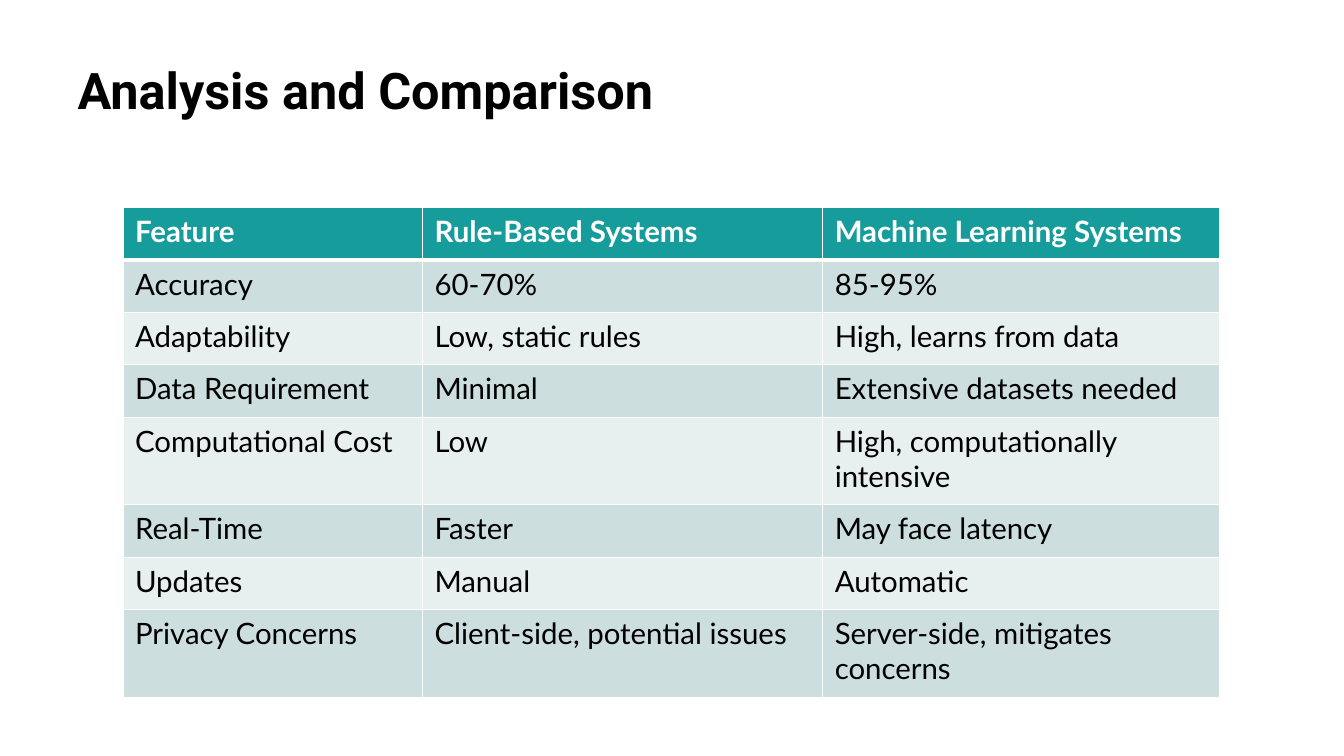
from dataclasses import dataclass
from typing import NamedTuple

from lxml import etree
from pptx import Presentation
from pptx.dml.color import RGBColor
from pptx.enum import text
from pptx.oxml.ns import qn
from pptx.util import Inches, Pt


@dataclass(frozen=True)
class Theme:
    title_font: str = "Roboto"
    body_font: str = "Lato"
    title_size: float = 36
    body_size: float = 21
    ink: str = "000000"
    white: str = "FFFFFF"
    header: str = "169C9A"
    bands: tuple[str, str] = ("CCDEDE", "E8EFEF")
    rule: float = 1
    header_rule: float = 3


class Feature(NamedTuple):
    name: str
    rule_based: str
    machine_learning: str


THEME = Theme()
HEADER = Feature("Feature", "Rule-Based Systems", "Machine Learning Systems")
FEATURES = [
    Feature("Accuracy", "60-70%", "85-95%"),
    Feature("Adaptability", "Low, static rules", "High, learns from data"),
    Feature("Data Requirement", "Minimal", "Extensive datasets needed"),
    Feature("Computational Cost", "Low", "High, computationally intensive"),
    Feature("Real-Time", "Faster", "May face latency"),
    Feature("Updates", "Manual", "Automatic"),
    Feature("Privacy Concerns", "Client-side, potential issues",
            "Server-side, mitigates concerns"),
]
COLUMN_WIDTHS = (2.97, 3.97, 3.94)
ROW_HEIGHT, TALL_ROW_HEIGHT = 0.52, 0.87
TWO_LINE_ROWS = {"Computational Cost", "Privacy Concerns"}
CELL_MARGINS = {"margin_left": 0.12, "margin_right": 0.12,
                "margin_top": 0.06, "margin_bottom": 0.06}


def set_font(p, name: str, size: float, color: str, bold: bool) -> None:
    for key, value in {"name": name, "size": Pt(size), "bold": bold}.items():
        setattr(p.font, key, value)
    p.font.color.rgb = RGBColor.from_string(color)


def add_border(cell, side: str, width: float) -> None:
    """Draw one white edge; side is L, R, T or B."""
    tc_pr = cell._tc.get_or_add_tcPr()
    line = etree.SubElement(tc_pr, qn(f"a:ln{side}"), w=str(Pt(width)))
    fill = etree.SubElement(line, qn("a:solidFill"))
    etree.SubElement(fill, qn("a:srgbClr"), val=THEME.white)


def format_cell(cell, value: str, row: int) -> None:
    is_header = row == 0
    top = THEME.header_rule if row == 1 else THEME.rule
    bottom = THEME.header_rule if is_header else THEME.rule
    for side, width in zip("LRTB", (THEME.rule, THEME.rule, top, bottom)):
        add_border(cell, side, width)
    cell.fill.solid()
    fill = THEME.header if is_header else THEME.bands[(row - 1) % 2]
    cell.fill.fore_color.rgb = RGBColor.from_string(fill)
    for key, value_in in CELL_MARGINS.items():
        setattr(cell, key, Inches(value_in))
    cell.text = value
    color = THEME.white if is_header else THEME.ink
    set_font(cell.text_frame.paragraphs[0], THEME.body_font, THEME.body_size,
             color, is_header)


def add_title(slide, title: str) -> None:
    sp = slide.shapes.title
    place = {"left": 0.67, "top": 0.6, "width": 11.97, "height": 1.24}
    for key, value in place.items():
        setattr(sp, key, Inches(value))
    tf = sp.text_frame
    tf.text = title
    tf.vertical_anchor = text.MSO_ANCHOR.TOP
    tf.auto_size = text.MSO_AUTO_SIZE.NONE
    p = tf.paragraphs[0]
    p.alignment = text.PP_ALIGN.LEFT
    p.line_spacing = 0.9
    set_font(p, THEME.title_font, THEME.title_size, THEME.ink, True)


def add_comparison(slide, rows: list[Feature]) -> None:
    heights = [TALL_ROW_HEIGHT if row.name in TWO_LINE_ROWS else ROW_HEIGHT
               for row in rows]
    table = slide.shapes.add_table(
        len(rows), len(COLUMN_WIDTHS), Inches(1.22), Inches(2.06),
        Inches(sum(COLUMN_WIDTHS)), Inches(sum(heights))).table
    for column, width in zip(table.columns, COLUMN_WIDTHS):
        column.width = Inches(width)
    for r, (feature, height) in enumerate(zip(rows, heights)):
        table.rows[r].height = Inches(height)
        for c, value in enumerate(feature):
            format_cell(table.cell(r, c), value, r)


def main() -> None:
    prs = Presentation()
    prs.slide_width, prs.slide_height = Inches(13.33), Inches(7.5)
    slide = prs.slides.add_slide(prs.slide_layouts.get_by_name("Title Only"))
    add_title(slide, "Analysis and Comparison")
    add_comparison(slide, [HEADER, *FEATURES])
    prs.save("out.pptx")


if __name__ == "__main__":
    main()
